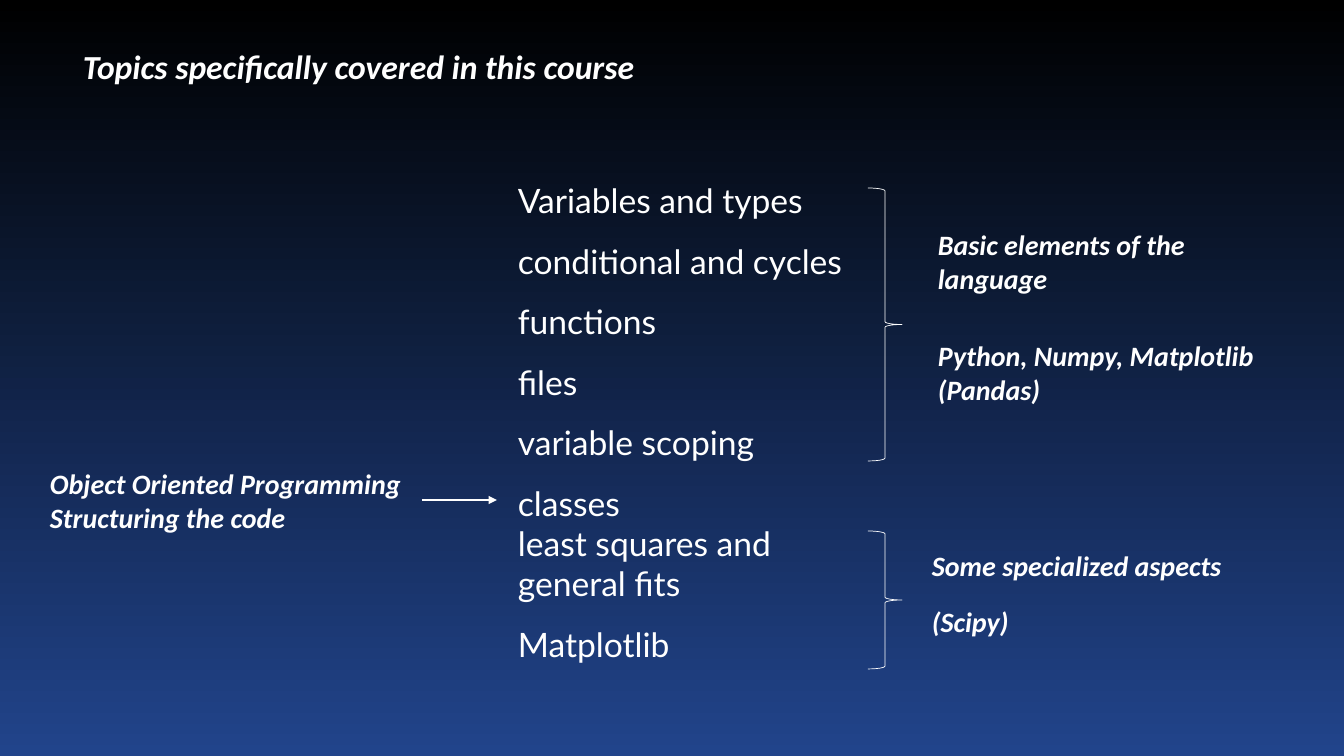
from lxml.etree import SubElement
from pptx import Presentation
from pptx.dml.color import RGBColor
from pptx.enum.shapes import MSO_CONNECTOR, MSO_SHAPE
from pptx.enum.text import MSO_AUTO_SIZE
from pptx.oxml.ns import qn
from pptx.util import Pt

WIDTH, HEIGHT = 1344, 756
SCALE = 12192000 / WIDTH
COLORS = {"text": "FFFFFF", "top": "000000", "bottom": "21448B"}


def px(length):
    return round(length * SCALE)


def add_text(box, lines, size, font="Calibri", emphasis=True, wrap=False):
    frame = slide.shapes.add_textbox(*map(px, box)).text_frame
    frame.word_wrap = wrap
    frame.auto_size = MSO_AUTO_SIZE.SHAPE_TO_FIT_TEXT
    for i, line in enumerate(lines):
        paragraph = frame.paragraphs[0] if i == 0 else frame.add_paragraph()
        run = paragraph.add_run()
        run.text = line
        run.font.name = font
        run.font.size = Pt(size)
        run.font.bold = run.font.italic = emphasis
        run.font.color.rgb = RGBColor.from_string(COLORS["text"])
    return frame


presentation = Presentation()
presentation.slide_width = px(WIDTH)
presentation.slide_height = px(HEIGHT)
slide = presentation.slides.add_slide(presentation.slide_layouts[6])

backdrop = slide.background.fill
backdrop.gradient()
backdrop.gradient_angle = 270
for stop, name, position in zip(backdrop.gradient_stops, ("top", "bottom"), (0, 1)):
    stop.color.rgb = RGBColor.from_string(COLORS[name])
    stop.position = position

add_text((73, 41, 577, 50), ["Topics specifically covered in this course"], 24)

topics = add_text(
    (508, 155, 373, 513),
    [
        "Variables and types",
        "conditional and cycles",
        "functions",
        "files",
        "variable scoping",
        "classes",
        "least squares and general fits",
        "Matplotlib",
    ],
    24, font="Lato", emphasis=False, wrap=True,
)
for topic in topics.paragraphs:
    topic.line_spacing = 1.0 if topic.text.startswith("least") else 1.5

for top, height in ((188, 273), (531, 138)):
    brace = slide.shapes.add_shape(
        MSO_SHAPE.RIGHT_BRACE, px(868), px(top), px(34), px(height))
    brace.shadow.inherit = False
    brace.fill.background()
    brace.line.color.rgb = RGBColor.from_string(COLORS["text"])
    brace.line.width = Pt(0.5)

add_text((928, 223, 279, 78), ["Basic elements of the", "language"], 20, wrap=True)
add_text((928, 334, 344, 78), ["Python, Numpy, Matplotlib", "(Pandas)"], 20)
add_text((40, 462, 381, 78), ["Object Oriented Programming", "Structuring the code"], 20)
add_text((922, 544, 312, 44), ["Some specialized aspects"], 20)
add_text((922, 600, 97, 44), ["(Scipy)"], 20)

classes_arrow = slide.shapes.add_connector(
    MSO_CONNECTOR.STRAIGHT, px(422), px(500), px(497), px(500))
classes_arrow.line.color.rgb = RGBColor.from_string(COLORS["text"])
classes_arrow.line.width = Pt(2)
SubElement(classes_arrow.line._get_or_add_ln(), qn("a:tailEnd"), type="triangle")
SubElement(classes_arrow._element.spPr, qn("a:effectLst"))

presentation.save("out.pptx")
